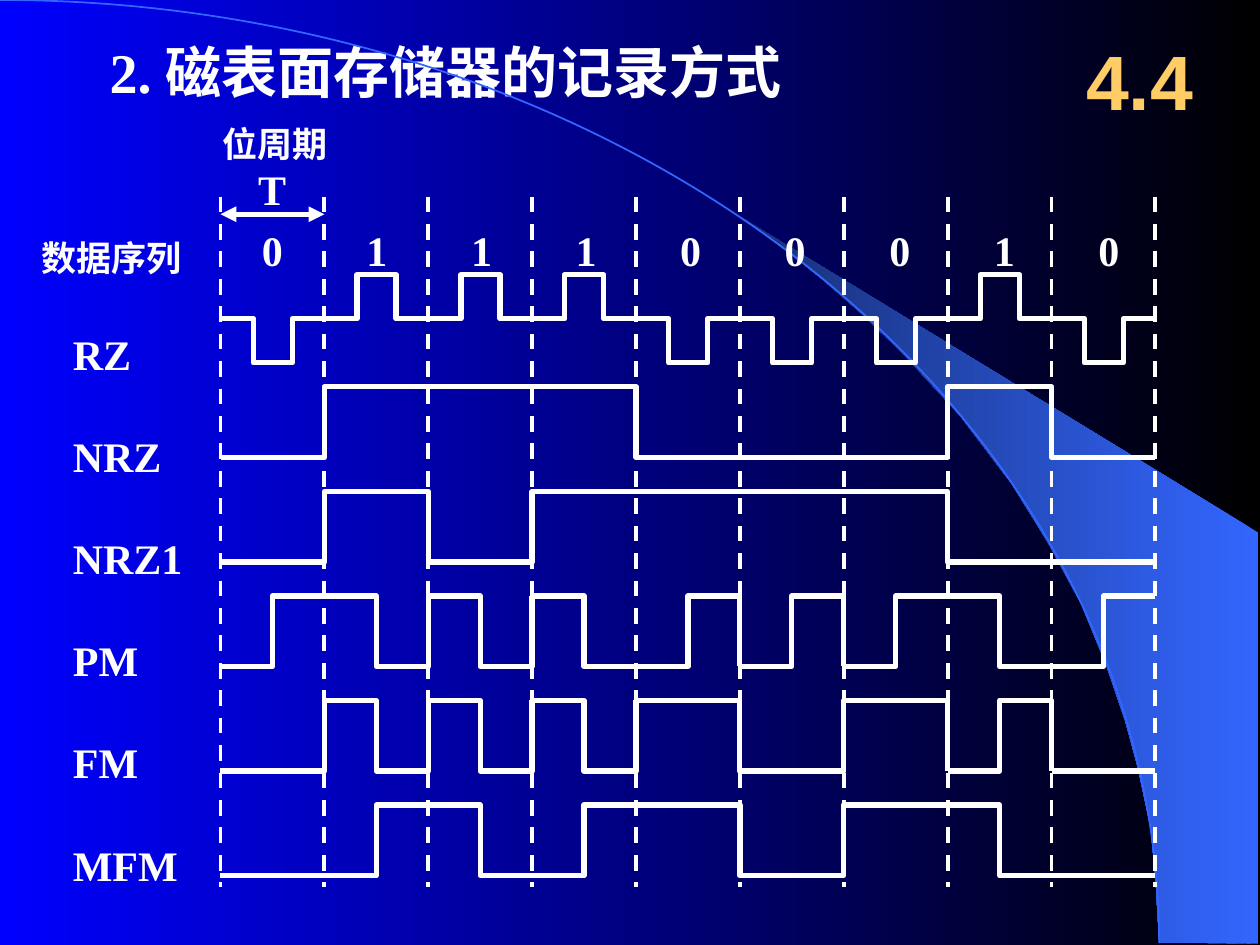
from dataclasses import dataclass

from lxml import etree
from pptx import Presentation
from pptx.dml.color import RGBColor
from pptx.enum import dml, shapes, text
from pptx.oxml.ns import qn
from pptx.util import Inches, Pt


@dataclass(frozen=True)
class Theme:
    """Colours, fonts and sizes of the slide."""
    white: str = "FFFFFF"
    gold: str = "FFCC66"
    blue: str = "0000FF"
    black: str = "000000"
    sky: str = "3366FF"
    navy: str = "172F75"
    serif: str = "Times New Roman"
    sans: str = "Arial"
    section: int = 44
    heading: int = 32
    label: int = 24
    caption: int = 20
    arc: float = 1
    divider: float = 2.25
    signal: float = 3


@dataclass(frozen=True)
class Code:
    """A recording code: half-bit levels, with a space between separate strokes."""
    name: str
    levels: str
    width: float


THEME = Theme()
BITS = "011100010"
LEFT, RIGHT = 1.75, 9.17
BIT = (RIGHT - LEFT) / len(BITS)
RZ_BASE, RZ_SWING = 2.53, 0.35
HIGH, SWING, ROW = 3.07, 0.56, 0.83
LABEL_TOP, LABEL_STEP = 2.56, 0.81
CODES = [
    Code("NRZ", "LLHHHHHHLLLLLLHHLL", 0.9),
    Code("NRZ1", "LLHHLLHHHHHHHHLLLL", 1.07),
    Code("PM", "LH HL HL HL LH LH LH HL LH", 0.72),
    Code("FM", "LL HL HL HL HHLLHH LH LL", 0.72),
    Code("MFM", "LL LH HL LH HHL LH HHLLL", 1.03),
]
BEAM = [(9.2, 7.48), (9.99, 7.49), (9.99, 4.23), (5.89, 1.73), (6.24, 1.99), (6.53, 2.22),
        (6.85, 2.5), (7.16, 2.8), (7.62, 3.3), (8.03, 3.84), (8.32, 4.31), (8.58, 4.79),
        (8.78, 5.28), (8.93, 5.72), (9.03, 6.09), (9.13, 6.56), (9.17, 6.96)]


def place(shape, left: float, top: float, width: float, height: float) -> None:
    """Move and size a shape in inches."""
    shape.left, shape.top = Inches(left), Inches(top)
    shape.width, shape.height = Inches(width), Inches(height)


def write(frame, words: str, *, size: int = THEME.label, font: str = THEME.serif,
          color: str = THEME.white, wrap: bool = False, align=text.PP_ALIGN.LEFT,
          anchor=text.MSO_ANCHOR.TOP) -> None:
    """Fill a frame with one line of bold text."""
    frame.word_wrap = wrap
    frame.auto_size = text.MSO_AUTO_SIZE.NONE
    frame.vertical_anchor = anchor
    line = frame.paragraphs[0]
    line.alignment = align
    run = line.add_run()
    run.text = words
    run.font.name, run.font.size, run.font.bold = font, Pt(size), True
    run.font.color.rgb = RGBColor.from_string(color)


def label(slide, words: str, left: float, top: float, width: float, height: float = 0.5,
          **style) -> None:
    """Add a text box."""
    box = slide.shapes.add_textbox(*map(Inches, (left, top, width, height)))
    write(box.text_frame, words, **style)


def blend(fill, right: str, left: str) -> None:
    """Set a gradient that runs from right to left."""
    fill.gradient()
    fill.gradient_angle = 180
    for stop, color, position in zip(fill.gradient_stops, (right, left), (0, 1)):
        stop.color.rgb = RGBColor.from_string(color)
        stop.position = position


def ink(line, color: str, width: float) -> None:
    """Set the colour and width of a line."""
    line.color.rgb = RGBColor.from_string(color)
    line.width = Pt(width)


def outline(slide, points: list[tuple[float, float]], close: bool = False):
    """Build a freeform through points in inches."""
    corners = [(Inches(x), Inches(y)) for x, y in points]
    builder = slide.shapes.build_freeform(*corners[0])
    builder.add_line_segments(corners[1:], close=close)
    shape = builder.convert_to_shape()
    shape.shadow.inherit = False
    return shape


def stroke(slide, points: list[tuple[float, float]]) -> None:
    """Draw one open piece of a signal with round corners."""
    signal = outline(slide, points)
    signal.fill.background()
    ink(signal.line, THEME.white, THEME.signal)
    etree.SubElement(signal.line._get_or_add_ln(), qn("a:round"))


def rule(slide, start: tuple[float, float], end: tuple[float, float], width: float,
         dashed: bool = False, arrows: bool = False) -> None:
    """Draw a straight connector."""
    link = slide.shapes.add_connector(shapes.MSO_CONNECTOR.STRAIGHT,
                                      *map(Inches, start + end))
    ink(link.line, THEME.white, width)
    if dashed:
        link.line.dash_style = dml.MSO_LINE.DASH
    if arrows:
        for tip in ("a:headEnd", "a:tailEnd"):
            etree.SubElement(link.line._get_or_add_ln(), qn(tip), type="triangle")
    etree.SubElement(link._element.spPr, qn("a:effectLst"))


def draw_backdrop(slide) -> None:
    """Draw the gradient, the beam and the arc."""
    blend(slide.background.fill, THEME.black, THEME.blue)
    beam = outline(slide, BEAM, close=True)
    blend(beam.fill, THEME.sky, THEME.navy)
    beam.line.fill.background()
    arc = slide.shapes.add_shape(shapes.MSO_SHAPE.ARC,
                                 *map(Inches, (-9.2, 0, 18.4, 14.97)))
    arc.shadow.inherit = False
    arc.fill.background()
    ink(arc.line, THEME.sky, THEME.arc)


def draw_rz(slide) -> None:
    """Draw a return-to-zero pulse for each bit."""
    for index, bit in enumerate(BITS):
        start = LEFT + index * BIT
        peak = RZ_BASE + (-RZ_SWING if bit == "1" else RZ_SWING)
        rise, fall = start + 0.26, start + 0.57
        stroke(slide, [(start, RZ_BASE), (rise, RZ_BASE), (rise, peak), (fall, peak),
                       (fall, RZ_BASE), (start + BIT, RZ_BASE)])


def draw_code(slide, code: Code, high: float) -> None:
    """Draw the strokes of a code, each one ending at the level of the next."""
    heights = {"H": high, "L": high + SWING}
    pieces = code.levels.split()
    half = 0
    for piece, following in zip(pieces, pieces[1:] + [pieces[-1][-1]]):
        points = []
        for level in piece:
            points += [(LEFT + step * BIT / 2, heights[level]) for step in (half, half + 1)]
            half += 1
        if following[0] != piece[-1]:
            points.append((points[-1][0], heights[following[0]]))
        stroke(slide, list(dict.fromkeys(points)))


def main() -> None:
    """Build the slide."""
    deck = Presentation()
    deck.slide_width, deck.slide_height = Inches(10), Inches(7.5)
    slide = deck.slides.add_slide(deck.slide_layouts[5])
    draw_backdrop(slide)
    heading = slide.shapes.title
    place(heading, 0.77, 0.25, 5.8, 0.64)
    write(heading.text_frame, "2. 磁表面存储器的记录方式", size=THEME.heading)
    for index in range(len(BITS) + 1):
        edge = LEFT + index * BIT
        rule(slide, (edge, 1.56), (edge, 7.04), THEME.divider, dashed=True)
    draw_rz(slide)
    label(slide, "RZ", 0.48, LABEL_TOP, 0.66)
    for row, code in enumerate(CODES):
        draw_code(slide, code, HIGH + row * ROW)
        label(slide, code.name, 0.48, LABEL_TOP + (row + 1) * LABEL_STEP, code.width)
    for index, bit in enumerate(BITS):
        label(slide, bit, 1.98 + index * 0.83, 1.73, 0.36)
    rule(slide, (LEFT, 1.7), (LEFT + BIT, 1.7), THEME.signal, arrows=True)
    label(slide, "数据序列", 0.23, 1.83, 1.31, 0.44, size=THEME.caption)
    label(slide, "T", 1.95, 1.25, 0.42)
    label(slide, "位周期", 1.67, 0.92, 1.03, 0.44, size=THEME.caption)
    label(slide, "4.4", 8.42, 0.17, 1.25, 0.92, size=THEME.section, font=THEME.sans,
          color=THEME.gold, wrap=True, align=text.PP_ALIGN.CENTER,
          anchor=text.MSO_ANCHOR.MIDDLE)
    deck.save("out.pptx")


if __name__ == "__main__":
    main()
